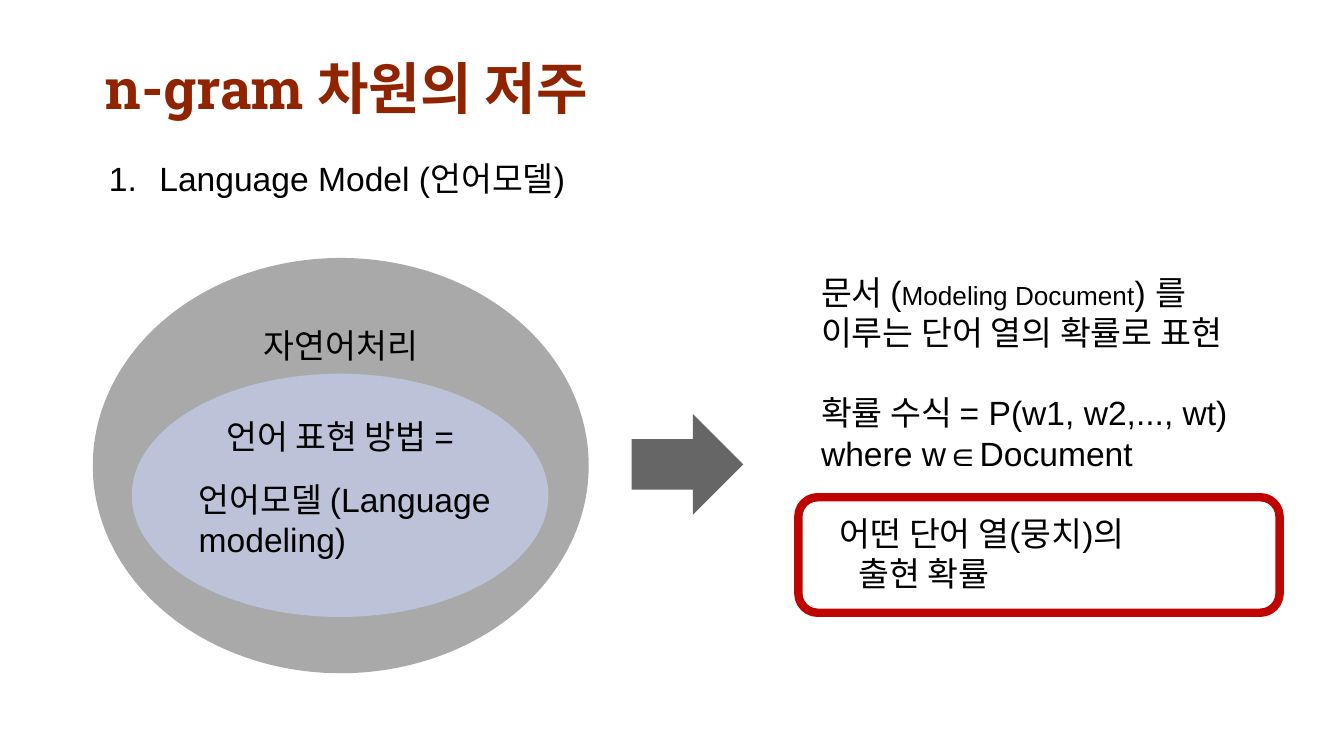
from pptx import Presentation
from pptx.util import Pt
from pptx.dml.color import RGBColor as RGB
from pptx.enum.shapes import MSO_SHAPE as Geo
from pptx.enum.text import PP_ALIGN as Align, MSO_ANCHOR as Anchor
from pptx.oxml.ns import qn
from lxml.etree import SubElement as Sub

HUES = {"title": "902300", "text": "000000", "gray": "666666",
        "blue": "C9D3F6", "red": "BE0500"}
LINE = 21.5  # height of one line of body text

deck = Presentation()
deck.slide_width, deck.slide_height = Pt(720), Pt(405)
slide = deck.slides.add_slide(deck.slide_layouts[6])


def add_box(geo, left, top, wide, high, fill=None, alpha=None, pad=(5, 3)):
    """Add a plain shape, or a text box when geo is None."""
    area = Pt(left), Pt(top), Pt(wide), Pt(high)
    if geo is None:
        box = slide.shapes.add_textbox(*area)
    else:
        box = slide.shapes.add_shape(geo, *area)
        box.shadow.inherit = False
        box.line.fill.background()
        if fill:
            box.fill.solid()
            box.fill.fore_color.rgb = RGB.from_string(HUES[fill])
            if alpha:
                tint = box.fill._xPr.find(".//" + qn("a:srgbClr"))
                Sub(tint, qn("a:alpha"), val=str(alpha * 1000))
        else:
            box.fill.background()
    frame = box.text_frame
    frame.word_wrap = True
    frame.vertical_anchor = Anchor.TOP
    frame.margin_left = frame.margin_right = Pt(pad[0])
    frame.margin_top = frame.margin_bottom = Pt(pad[1])
    return box


def add_run(para, text, size=18, face="Arial", hue="text", bold=False):
    run = para.add_run()
    run.text = text
    font = run.font
    font.size, font.name, font.bold = Pt(size), face, bold
    font.color.rgb = RGB.from_string(HUES[hue])


# Title
title = add_box(None, 49.7, 21.6, 620.6, 62, pad=(7.2, 7.2))
add_run(title.text_frame.paragraphs[0], "n-gram 차원의 저주",
        30, "Roboto Slab", "title", True)

# Numbered heading
head = add_box(Geo.ROUNDED_RECTANGLE, 42.5, 69.8, 583.2, 223.2, pad=(5, 4))
para = head.text_frame.paragraphs[0]
para.alignment = Align.LEFT
props = para._p.get_or_add_pPr()
props.set("marL", str(Pt(27)))
props.set("indent", str(Pt(-27)))
Sub(Sub(props, qn("a:buClr")), qn("a:srgbClr"), val=HUES["text"])
Sub(props, qn("a:buFont"), typeface="Arial")
Sub(props, qn("a:buAutoNum"), type="arabicPeriod")
add_run(para, "Language Model (언어모델)")

# Nested ellipses
for area, fill, alpha, text in (
        ((49.7, 138.2, 265.7, 222.5), "gray", 56, "자연어처리"),
        ((70.6, 200.2, 223.2, 130.3), "blue", 62, "언어 표현 방법 =")):
    oval = add_box(Geo.OVAL, *area, fill, alpha, pad=(5, 3.6))
    para = oval.text_frame.paragraphs[0]
    para.alignment = Align.CENTER
    add_run(para, text)

# Arrow
add_box(Geo.RIGHT_ARROW, 338.4, 221.8, 59.8, 54, "gray")

# Explanation: space before, left indent, runs
notes = add_box(None, 434.9, 142.5, 242.6, 219)
rows = (
    (0, 0, (("문서 (", 18), ("Modeling Document", 14),
            (") 를 이루는 단어 열의 확률로 표현", 18))),
    (LINE, 0, (("확률 수식 = P(w1, w2,..., wt) where w∈Document", 18),)),
    (LINE, 10, (("어떤 단어 열(뭉치)의", 18),)),
    (0, 20, (("출현 확률", 18),)),
)
for num, (gap, left, runs) in enumerate(rows):
    frame = notes.text_frame
    para = frame.add_paragraph() if num else frame.paragraphs[0]
    if gap:
        para.space_before = Pt(gap)
    if left:
        para._p.get_or_add_pPr().set("marL", str(Pt(left)))
    for text, size in runs:
        add_run(para, text, size)

# Label in the inner ellipse
label = add_box(None, 101.5, 253.5, 244, 49)
add_run(label.text_frame.paragraphs[0], "언어모델 (Language modeling)")

# Red frame
mark = add_box(Geo.ROUNDED_RECTANGLE, 427.7, 266.4, 257.8, 61.9)
mark.line.color.rgb = RGB.from_string(HUES["red"])
mark.line.width = Pt(4.5)

deck.save("out.pptx")
